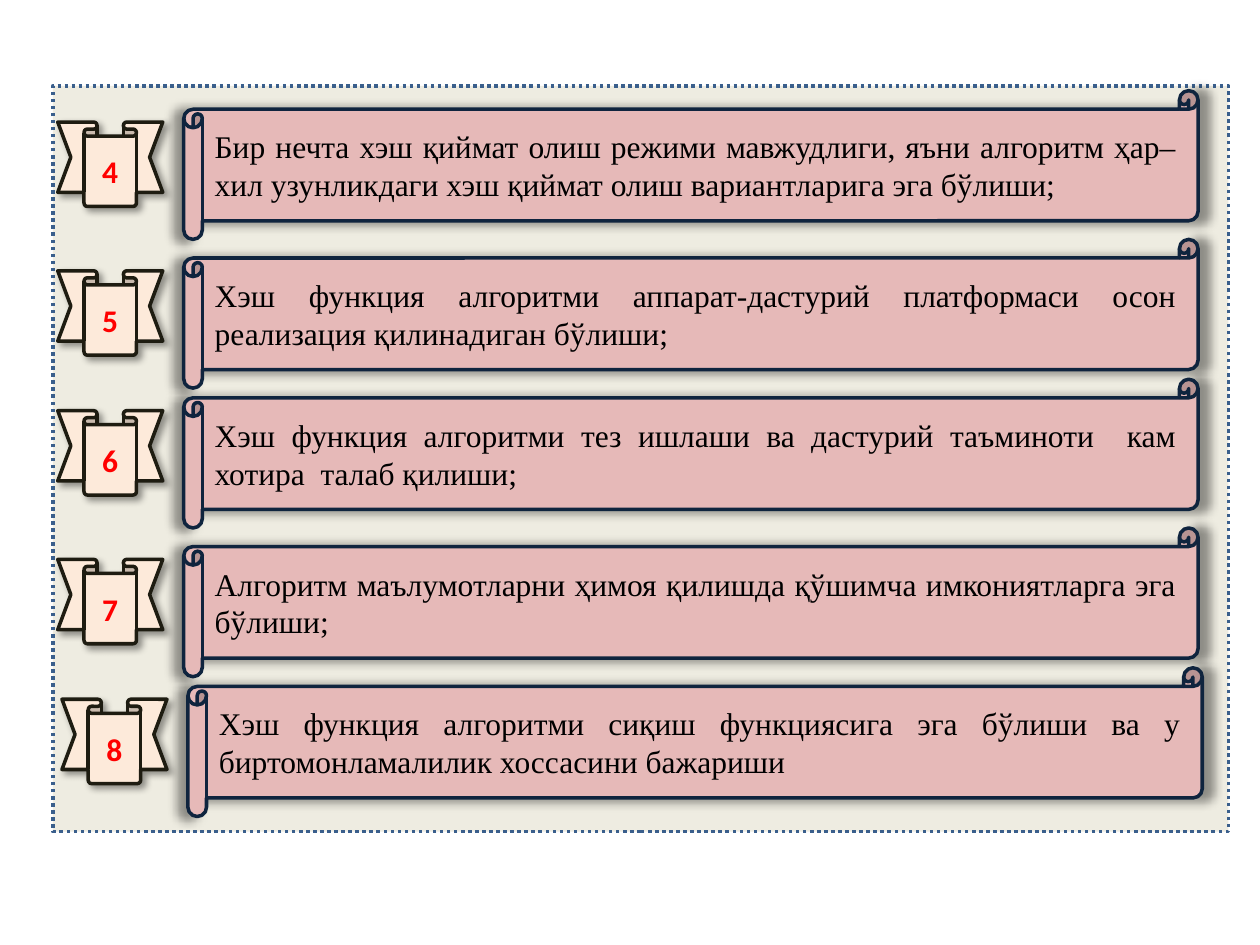
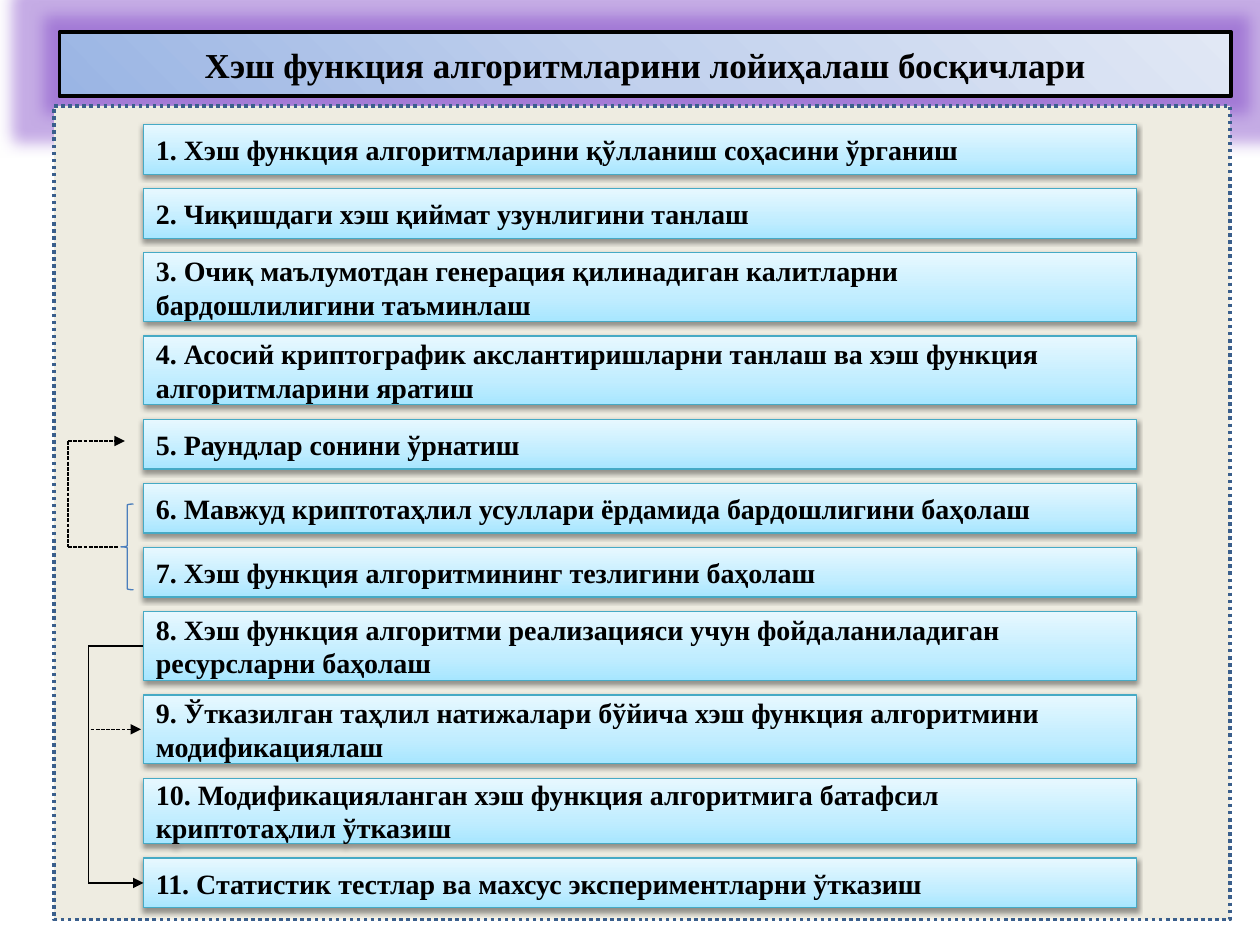
from typing import NamedTuple

from pptx import Presentation
from pptx.dml.color import RGBColor
from pptx.enum.dml import MSO_LINE
from pptx.enum.shapes import MSO_CONNECTOR, MSO_SHAPE
from pptx.enum.text import MSO_ANCHOR, PP_ALIGN
from pptx.oxml import parse_xml
from pptx.oxml.ns import nsdecls
from pptx.shapes.autoshape import Shape
from pptx.slide import Slide
from pptx.util import Pt

RECT, SCROLL = MSO_SHAPE.RECTANGLE, MSO_SHAPE.HORIZONTAL_SCROLL
RIBBON, BRACE = MSO_SHAPE.DOWN_RIBBON, MSO_SHAPE.LEFT_BRACE
STRAIGHT = MSO_CONNECTOR.STRAIGHT
DOTS, DASH = MSO_LINE.ROUND_DOT, MSO_LINE.SQUARE_DOT
LEFT, MID, FULL = PP_ALIGN.LEFT, PP_ALIGN.CENTER, PP_ALIGN.JUSTIFY
CENTER = MSO_ANCHOR.MIDDLE

BLACK = RGBColor(0x00, 0x00, 0x00)
RED = RGBColor(0xFF, 0x00, 0x00)
CREAM = RGBColor(0xEE, 0xEC, 0xE1)
STEEL = RGBColor(0x3A, 0x5F, 0x8C)
PINK = RGBColor(0xE6, 0xB9, 0xB8)
NAVY = RGBColor(0x0F, 0x24, 0x3E)
PEACH = RGBColor(0xFD, 0xEA, 0xDA)
BROWN = RGBColor(0x1E, 0x1C, 0x11)
TEAL = RGBColor(0x46, 0xAA, 0xC5)
BLUE = RGBColor(0x4B, 0x7E, 0xBC)
PURPLE = RGBColor(0x70, 0x30, 0xC0)
SKY = ((0, RGBColor(0xA7, 0xE6, 0xFF)), (35, RGBColor(0xC1, 0xED, 0xFF)),
       (100, RGBColor(0xE7, 0xF8, 0xFF)))
DUSK = ((0, RGBColor(0x9A, 0xB5, 0xE4)), (50, RGBColor(0xC2, 0xD1, 0xED)),
        (100, RGBColor(0xE1, 0xE8, 0xF5)))
UPWARD = '<a:lin ang="16200000" scaled="0"/>'
CORNER = '<a:path path="circle"><a:fillToRect t="100000" r="100000"/></a:path>'
SERIF, SANS = "Times New Roman", "Calibri"


class Box(NamedTuple):
    """Place and size in points."""
    left: float
    top: float
    width: float
    height: float


class Look(NamedTuple):
    """Outline and fill of a shape."""
    kind: MSO_SHAPE
    fill: RGBColor | None
    line: RGBColor
    weight: float
    dash: MSO_LINE | None = None


class Type(NamedTuple):
    """Style of a text."""
    font: str
    size: float
    color: RGBColor
    bold: bool
    align: PP_ALIGN


class Shade(NamedTuple):
    """Soft shadow of a shape."""
    alpha: int
    blur: float
    dist: float
    angle: int
    scale: int = 100


class Claim(NamedTuple):
    """Numbered demand on a scroll."""
    top: float
    text: str
    shift: float = 0


class Step(NamedTuple):
    """Design step and the height of its bar."""
    height: float
    text: str


class Wire(NamedTuple):
    """Straight line between two points."""
    x1: float
    y1: float
    x2: float
    y2: float
    dash: bool = False
    arrow: bool = False
    goal: Shape | None = None


PANEL = Look(RECT, CREAM, STEEL, 2, DOTS)
SHEET = Look(SCROLL, PINK, NAVY, 2)
BADGE = Look(RIBBON, PEACH, BROWN, 2)
BANNER = Look(RECT, None, BLACK, 2)
BAR = Look(RECT, None, TEAL, 0.75)
GROUP = Look(BRACE, None, BLUE, 0.75)

BODY = Type(SERIF, 18, BLACK, False, FULL)
DIGIT = Type(SANS, 18, RED, True, MID)
TITLE = Type(SERIF, 20, BLACK, True, MID)
LABEL = Type(SERIF, 16, BLACK, True, LEFT)

HALO = Shade(40, 5, 0, 0, 102)
DROP = Shade(40, 4, 3, 45)
UNDER = Shade(38, 3.1, 1.6, 90)

ONE, TWO = 28.3, 39.3
FIRST, GAP = 71.3, 8.3
CLAIMS = (
    Claim(51.8, "Бир нечта хэш қиймат олиш режими мавжудлиги, яъни алгоритм "
          "ҳар–хил узунликдаги хэш қиймат олиш вариантларига эга бўлиши;"),
    Claim(136.8, "Хэш функция алгоритми аппарат-дастурий платформаси осон "
          "реализация қилинадиган бўлиши;"),
    Claim(216.7, "Хэш функция алгоритми тез ишлаши ва дастурий таъминоти  кам "
          "хотира  талаб қилиши;"),
    Claim(301.7, "Алгоритм маълумотларни ҳимоя қилишда қўшимча имкониятларга "
          "эга бўлиши;"),
    Claim(381.6, "Хэш функция алгоритми сиқиш функциясига эга бўлиши ва у "
          "биртомонламалилик хоссасини бажариши", 2.4),
)
STEPS = (
    Step(ONE, "Хэш функция алгоритмларини қўлланиш соҳасини ўрганиш"),
    Step(ONE, "Чиқишдаги хэш қиймат узунлигини танлаш"),
    Step(TWO, "Очиқ маълумотдан генерация қилинадиган калитларни "
         "бардошлилигини таъминлаш"),
    Step(TWO, "Асосий криптографик акслантиришларни танлаш ва хэш функция "
         "алгоритмларини яратиш"),
    Step(ONE, "Раундлар сонини ўрнатиш"),
    Step(ONE, "Мавжуд криптотаҳлил усуллари ёрдамида бардошлигини баҳолаш"),
    Step(ONE, "Хэш функция алгоритмининг тезлигини баҳолаш"),
    Step(TWO, "Хэш функция алгоритми реализацияси учун фойдаланиладиган "
         "ресурсларни баҳолаш"),
    Step(TWO, "Ўтказилган таҳлил натижалари бўйича хэш функция алгоритмини "
         "модификациялаш"),
    Step(37.4, "Модификацияланган хэш функция алгоритмига батафсил "
         "криптотаҳлил ўтказиш"),
    Step(ONE, "Статистик тестлар ва махсус экспериментларни ўтказиш"),
)


def tint(color: RGBColor, alpha: int = 100) -> str:
    """Return the XML of a colour with its opacity in percent."""
    return f'<a:srgbClr val="{color}"><a:alpha val="{alpha * 1000}"/></a:srgbClr>'


def draw(slide: Slide, box: Box, look: Look) -> Shape:
    """Add a shape without shadow."""
    shape = slide.shapes.add_shape(look.kind, *map(Pt, box))
    shape.shadow.inherit = False
    if look.fill is None:
        shape.fill.background()
    else:
        shape.fill.solid()
        shape.fill.fore_color.rgb = look.fill
    shape.line.color.rgb = look.line
    shape.line.width = Pt(look.weight)
    if look.dash is not None:
        shape.line.dash_style = look.dash
    return shape


def write(shape: Shape, text: str, style: Type) -> None:
    """Set the text of a shape and format it."""
    frame = shape.text_frame
    frame.text = text
    frame.word_wrap = True
    frame.vertical_anchor = CENTER
    para = frame.paragraphs[0]
    para.alignment = style.align
    font = para.runs[0].font
    font.name, font.size, font.bold = style.font, Pt(style.size), style.bold
    font.color.rgb = style.color


def fade(shape: Shape, stops: tuple, course: str) -> None:
    """Fill a shape with a gradient."""
    marks = "".join(f'<a:gs pos="{pos * 1000}">{tint(color)}</a:gs>'
                    for pos, color in stops)
    props = shape.element.spPr
    props.replace(props.find("{*}noFill"), parse_xml(
        f'<a:gradFill {nsdecls("a")} rotWithShape="1"><a:gsLst>{marks}</a:gsLst>'
        f'{course}</a:gradFill>'))


def add_glow(shape: Shape, color: RGBColor, size: float) -> None:
    """Surround a shape with a glow."""
    shape.element.spPr.find("{*}effectLst").append(parse_xml(
        f'<a:glow {nsdecls("a")} rad="{Pt(size)}">{tint(color, 40)}</a:glow>'))


def cast(shape: Shape, shade: Shade) -> None:
    """Give a shape a soft shadow."""
    scale = shade.scale * 1000
    shape.element.spPr.find("{*}effectLst").append(parse_xml(
        f'<a:outerShdw {nsdecls("a")} blurRad="{Pt(shade.blur)}" '
        f'dist="{Pt(shade.dist)}" dir="{shade.angle * 60000}" sx="{scale}" '
        f'sy="{scale}" algn="ctr" rotWithShape="0">'
        f'{tint(BLACK, shade.alpha)}</a:outerShdw>'))


def link(slide: Slide, wire: Wire) -> None:
    """Add a thin line, dashed or with an arrowhead on demand."""
    line = slide.shapes.add_connector(STRAIGHT, *map(Pt, wire[:4]))
    if wire.goal is not None:
        line.end_connect(wire.goal, 1)
    line.line.color.rgb = BLACK
    line.line.width = Pt(0.75)
    if wire.dash:
        line.line.dash_style = DASH
    if wire.arrow:
        line.line._get_or_add_ln().append(
            parse_xml(f'<a:tailEnd {nsdecls("a")} type="triangle"/>'))
    line.element.spPr.append(parse_xml(f'<a:effectLst {nsdecls("a")}/>'))


def show_claims(slide: Slide) -> None:
    """Draw the scrolls with their numbered ribbons."""
    draw(slide, Box(30.2, 49, 671.8, 426.2), PANEL)
    for count, claim in enumerate(CLAIMS, 4):
        sheet = draw(slide, Box(105 + claim.shift, claim.top, 579.6, 85), SHEET)
        cast(sheet, HALO)
        write(sheet, claim.text, BODY)
        badge = draw(slide, Box(33 + claim.shift, claim.top + 18, 60, 48.2), BADGE)
        cast(badge, DROP)
        write(badge, str(count), DIGIT)


def show_steps(slide: Slide) -> None:
    """Draw the title, the stack of steps and the loops between them."""
    banner = draw(slide, Box(34, 18.3, 669.6, 36.7), BANNER)
    fade(banner, DUSK, CORNER)
    add_glow(banner, PURPLE, 18)
    write(banner, "Хэш функция алгоритмларини лойиҳалаш босқичлари", TITLE)
    draw(slide, Box(31, 60.5, 671.8, 465.1), PANEL)

    bars, mids, top = {}, {}, FIRST
    for count, step in enumerate(STEPS, 1):
        bar = draw(slide, Box(82, top, 567.4, step.height), BAR)
        fade(bar, SKY, UPWARD)
        cast(bar, UNDER)
        write(bar, f"{count}. {step.text}", LABEL)
        bars[count], mids[count] = bar, top + step.height / 2
        top += step.height + GAP

    draw(slide, Box(69.1, 288, 7.2, 49), GROUP)
    for wire in (
        Wire(38.9, 312.5, 67.7, 312.5, dash=True),
        Wire(38.9, 252, 38.9, 312.5, dash=True),
        Wire(38.9, 252, 71.3, 252, dash=True, arrow=True),
        Wire(50.4, mids[8], 50.4, mids[11]),
        Wire(50.4, mids[11], 82, mids[11], arrow=True, goal=bars[11]),
        Wire(50.4, mids[8], 82, mids[8], goal=bars[8]),
        Wire(51.8, mids[9], 80.6, mids[9], dash=True, arrow=True),
    ):
        link(slide, wire)


def main() -> None:
    """Build and save the slides."""
    deck = Presentation()
    deck.slide_width, deck.slide_height = Pt(720), Pt(540)
    for show in (show_claims, show_steps):
        show(deck.slides.add_slide(deck.slide_layouts[6]))
    deck.save("out.pptx")


if __name__ == "__main__":
    main()
